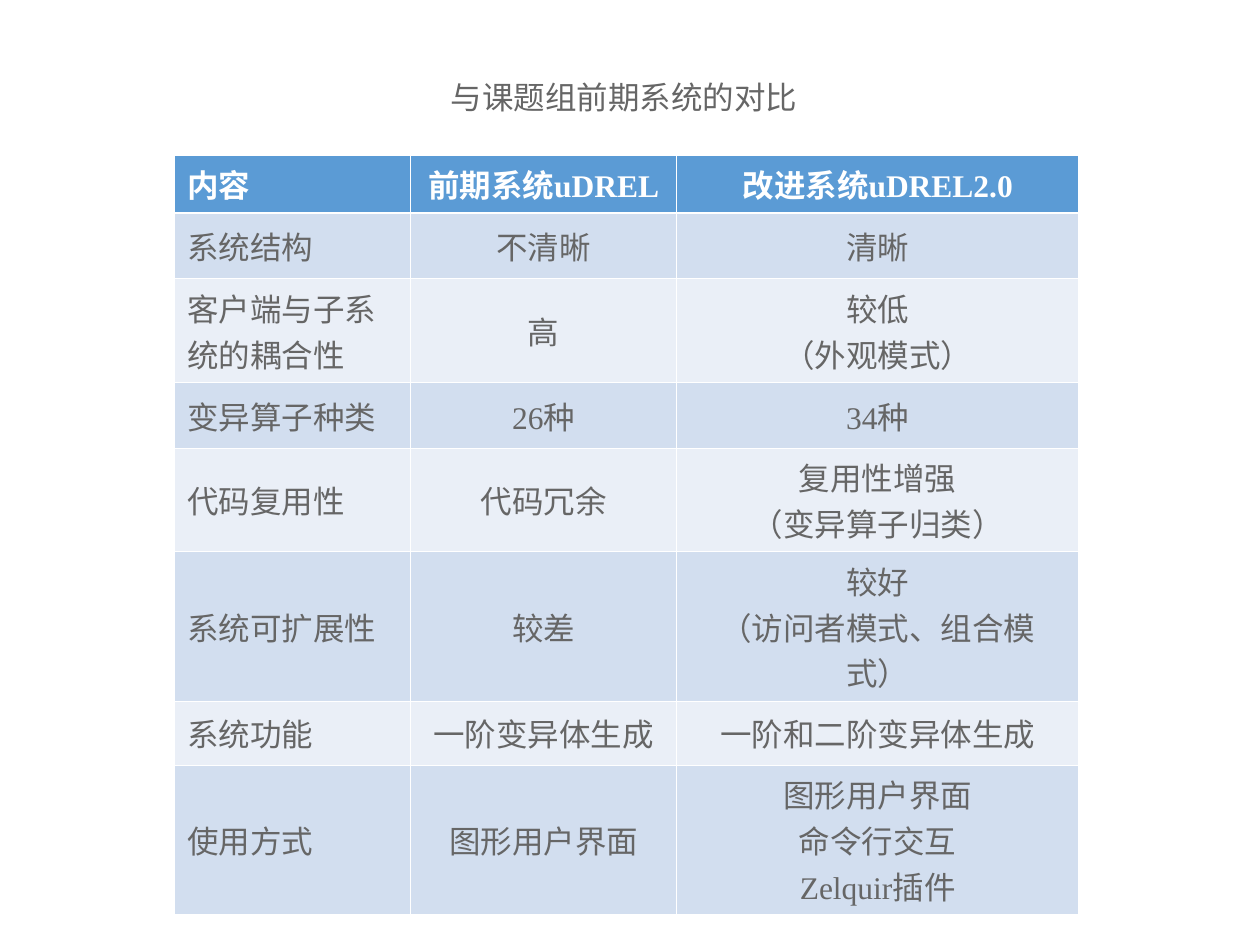
from pptx import Presentation
from pptx.dml.color import RGBColor
from pptx.enum.text import MSO_ANCHOR as Anchor, MSO_AUTO_SIZE as AutoSize, PP_ALIGN as Align
from pptx.oxml import parse_xml
from pptx.oxml.ns import nsdecls
from pptx.util import Pt

WHITE, GREY, BLUE = "FFFFFF", "666666", "5B9BD5"
BANDS = ["EAEFF7", "D2DEEF"]
THIN, THICK = 0.45, 1.47


def add_span(para, text, color, bold=False):
    """Add one run of 18 pt text to a paragraph."""
    span = para.add_run()
    span.text = text
    span.font.name = "Times New Roman"
    span.font.size = Pt(18)
    span.font.bold = bold
    span.font.color.rgb = RGBColor.from_string(color)


def add_border(cell, side, width):
    """Draw a white line along one side of a cell, before its fill is set."""
    cell._tc.get_or_add_tcPr().append(parse_xml(
        f'<a:{side} {nsdecls("a")} w="{Pt(width)}"><a:solidFill>'
        f'<a:srgbClr val="{WHITE}"/></a:solidFill></a:{side}>'))


deck = Presentation()
deck.slide_width, deck.slide_height = Pt(720), Pt(540)
page = deck.slides.add_slide(deck.slide_layouts[6])

# Comparison table: one entry per row, line breaks separate paragraphs
comparison = [
    ("内容", "前期系统uDREL", "改进系统uDREL2.0"),
    ("系统结构", "不清晰", "清晰"),
    ("客户端与子系统的耦合性", "高", "较低\n（外观模式）"),
    ("变异算子种类", "26种", "34种"),
    ("代码复用性", "代码冗余", "复用性增强\n（变异算子归类）"),
    ("系统可扩展性", "较差", "较好\n（访问者模式、组合模式）"),
    ("系统功能", "一阶变异体生成", "一阶和二阶变异体生成"),
    ("使用方式", "图形用户界面", "图形用户界面\n命令行交互\nZelquir插件"),
]
column_widths = [134.8, 152, 229.9]
row_heights = [29, 37.4, 52.6, 37.4, 54, 72, 36.5, 72]

frame = page.shapes.add_table(len(row_heights), len(column_widths), Pt(99.8), Pt(88.6),
                              Pt(sum(column_widths)), Pt(sum(row_heights)))
table = frame.table
table.horz_banding = False
for column, width in zip(table.columns, column_widths):
    column.width = Pt(width)

for r, texts in enumerate(comparison):
    table.rows[r].height = Pt(row_heights[r])
    header = r == 0
    for c, text in enumerate(texts):
        cell = table.cell(r, c)
        cell.vertical_anchor = Anchor.TOP if header else Anchor.MIDDLE
        add_border(cell, "lnL", THIN)
        add_border(cell, "lnR", THIN)
        add_border(cell, "lnT", THICK if r == 1 else THIN)
        add_border(cell, "lnB", THICK if header else THIN)
        cell.fill.solid()
        cell.fill.fore_color.rgb = RGBColor.from_string(BLUE if header else BANDS[r % 2])
        for i, line in enumerate(text.split("\n")):
            para = cell.text_frame.paragraphs[0] if i == 0 else cell.text_frame.add_paragraph()
            para.alignment = Align.LEFT if c == 0 else Align.CENTER
            add_span(para, line, WHITE if header else GREY, header)

# Title above the table
title = page.shapes.add_textbox(Pt(250.6), Pt(41), Pt(218.2), Pt(28.8)).text_frame
title.word_wrap = True
title.auto_size = AutoSize.SHAPE_TO_FIT_TEXT
add_span(title.paragraphs[0], "与课题组前期系统的对比", GREY)

deck.save("out.pptx")
